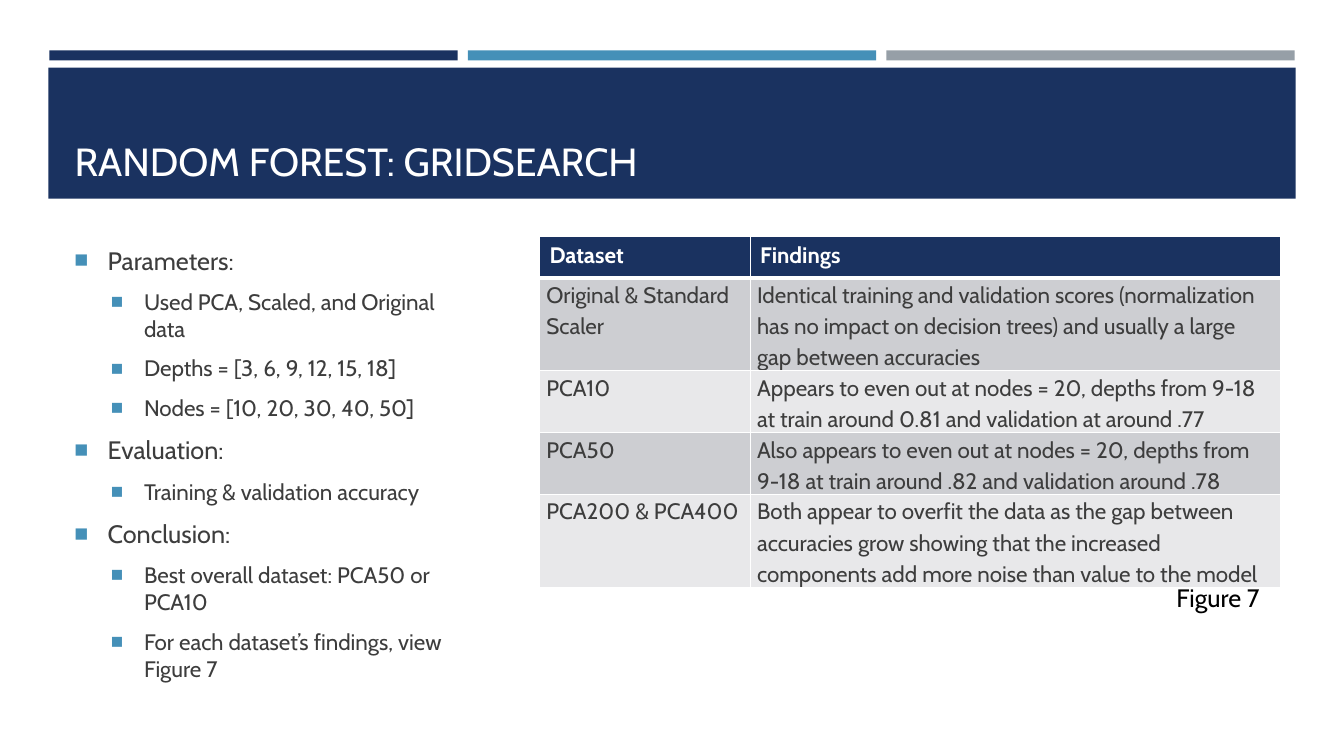
from dataclasses import dataclass

from lxml import etree
from pptx import Presentation
from pptx.dml.color import RGBColor
from pptx.enum.shapes import MSO_SHAPE
from pptx.enum.text import MSO_ANCHOR, PP_ALIGN
from pptx.oxml.ns import qn
from pptx.util import Inches, Pt

RECT = MSO_SHAPE.RECTANGLE
TOP, BOTTOM = MSO_ANCHOR.TOP, MSO_ANCHOR.BOTTOM
LEFT = PP_ALIGN.LEFT

TITLE = "RANDOM FOREST: GRIDSEARCH"
OUTLINE = [
    ("Parameters:", [
        "Used PCA, Scaled, and Original data",
        "Depths = [3, 6, 9, 12, 15, 18]",
        "Nodes = [10, 20, 30, 40, 50]",
    ]),
    ("Evaluation:", ["Training & validation accuracy"]),
    ("Conclusion:", [
        "Best overall dataset: PCA50 or PCA10",
        "For each dataset’s findings, view Figure 7",
    ]),
]
FINDINGS = [
    ("Dataset", "Findings"),
    ("Original & Standard Scaler",
     "Identical training and validation scores (normalization has no impact on "
     "decision trees) and usually a large gap between accuracies"),
    ("PCA10",
     "Appears to even out at nodes = 20, depths from 9-18 at train around 0.81 "
     "and validation at around .77"),
    ("PCA50",
     "Also appears to even out at nodes = 20, depths from 9-18 at train around "
     ".82 and validation around .78"),
    ("PCA200 & PCA400",
     "Both appear to overfit the data as the gap between accuracies grow showing "
     "that the increased components add more noise than value to the model"),
]
CAPTION = "Figure 7"


@dataclass(frozen=True)
class Theme:
    font: str = "Cabin"
    navy: str = "1A3260"
    blue: str = "4590B8"
    gray: str = "969FA7"
    ink: str = "3D3D3D"
    black: str = "000000"
    white: str = "FFFFFF"
    bands: tuple = ("CDCED2", "E8E8EA")
    title: int = 28
    body: int = 18
    detail: int = 16


T = Theme()
SLIDE_W, SLIDE_H = 13.33, 7.5
BAR_X, BAR_Y, BAR_W, BAR_H, BAR_STEP = 0.49, 0.5, 4.05, 0.1, 4.15
BANNER = (0.48, 0.67, 12.37, 1.3)
TITLE_BOX = (0.64, 0.77, 12.06, 1.11)
OUTLINE_BOX = (0.64, 2.38, 4.23, 4.97)
TABLE_X, TABLE_Y = 5.35, 2.35
COLUMNS = (2.09, 5.26)
HEADER_H, LINE_H = 0.41, 0.3
ROW_LINES = (3, 2, 2, 3)
CAPTION_BOX = (11.57, 5.73, 1.32, 0.4)
HANG, LEVEL_STEP = 0.33, 0.36


def inches(box):
    return [Inches(v) for v in box]


def rgb(color):
    return RGBColor.from_string(color)


def add_bullet(p, level):
    pPr = p._p.get_or_add_pPr()
    pPr.set("marL", str(Inches(HANG + LEVEL_STEP * level)))
    pPr.set("indent", str(-Inches(HANG)))
    color = etree.SubElement(pPr, qn("a:buClr"))
    etree.SubElement(color, qn("a:srgbClr"), val=T.blue)
    etree.SubElement(pPr, qn("a:buSzPct"), val="92000")
    etree.SubElement(pPr, qn("a:buFont"), typeface="Arial")
    etree.SubElement(pPr, qn("a:buChar"), char="■")


def write(tf, text, size, color, bold=False, level=None, before=0, after=0,
          spacing=None, new=False):
    p = tf.add_paragraph() if new else tf.paragraphs[0]
    p.alignment = LEFT
    if level is not None:
        p.level = level
        add_bullet(p, level)
    p.space_before, p.space_after = Pt(before), Pt(after)
    if spacing:
        p.line_spacing = spacing
    r = p.add_run()
    r.text = text
    r.font.name, r.font.size, r.font.bold = T.font, Pt(size), bold
    r.font.color.rgb = rgb(color)


def add_block(slide, box, color):
    sp = slide.shapes.add_shape(RECT, *inches(box))
    sp.shadow.inherit = False
    sp.fill.solid()
    sp.fill.fore_color.rgb = rgb(color)
    sp.line.fill.background()
    slide.shapes.title.element.addprevious(sp.element)


def add_borders(cell, top, bottom):
    tcPr = cell._tc.get_or_add_tcPr()
    widths = {"a:lnL": 1, "a:lnR": 1, "a:lnT": top, "a:lnB": bottom}
    for i, (tag, width) in enumerate(widths.items()):
        ln = etree.Element(qn(tag), w=str(Pt(width)))
        fill = etree.SubElement(ln, qn("a:solidFill"))
        etree.SubElement(fill, qn("a:srgbClr"), val=T.white)
        tcPr.insert(i, ln)


def add_header(slide):
    for i, color in enumerate((T.navy, T.blue, T.gray)):
        add_block(slide, (BAR_X + i * BAR_STEP, BAR_Y, BAR_W, BAR_H), color)
    add_block(slide, BANNER, T.navy)
    title = slide.shapes.title
    title.left, title.top, title.width, title.height = inches(TITLE_BOX)
    title.text_frame.vertical_anchor = BOTTOM
    write(title.text_frame, TITLE, T.title, T.white)


def add_outline(slide):
    tf = slide.shapes.add_textbox(*inches(OUTLINE_BOX)).text_frame
    tf.word_wrap = True
    for i, (heading, details) in enumerate(OUTLINE):
        write(tf, heading, T.body, T.ink, level=0, after=6,
              before=T.body * 0.2 if i else 0, new=i > 0)
        for detail in details:
            write(tf, detail, T.detail, T.ink, level=1, after=6,
                  before=T.detail * 0.2, new=True)


def add_findings(slide):
    heights = [HEADER_H] + [n * LINE_H for n in ROW_LINES]
    box = (TABLE_X, TABLE_Y, sum(COLUMNS), sum(heights))
    table = slide.shapes.add_table(len(FINDINGS), len(COLUMNS), *inches(box)).table
    for column, width in zip(table.columns, COLUMNS):
        column.width = Inches(width)
    for i, (row, height) in enumerate(zip(FINDINGS, heights)):
        table.rows[i].height = Inches(height)
        header = i == 0
        for j, text in enumerate(row):
            cell = table.cell(i, j)
            cell.vertical_anchor = TOP
            cell.fill.solid()
            cell.fill.fore_color.rgb = rgb(T.navy if header else T.bands[(i - 1) % 2])
            if not header:
                cell.margin_left = cell.margin_right = Inches(0.07)
                cell.margin_top = cell.margin_bottom = 0
            add_borders(cell, 3 if i == 1 else 1, 3 if header else 1)
            write(cell.text_frame, text, T.detail, T.white if header else T.ink,
                  bold=header, spacing=None if header else 1.15)


def main():
    prs = Presentation()
    prs.slide_width, prs.slide_height = Inches(SLIDE_W), Inches(SLIDE_H)
    slide = prs.slides.add_slide(prs.slide_layouts[5])
    add_header(slide)
    add_outline(slide)
    add_findings(slide)
    tf = slide.shapes.add_textbox(*inches(CAPTION_BOX)).text_frame
    tf.word_wrap = True
    write(tf, CAPTION, T.body, T.black)
    prs.save("out.pptx")


if __name__ == "__main__":
    main()
